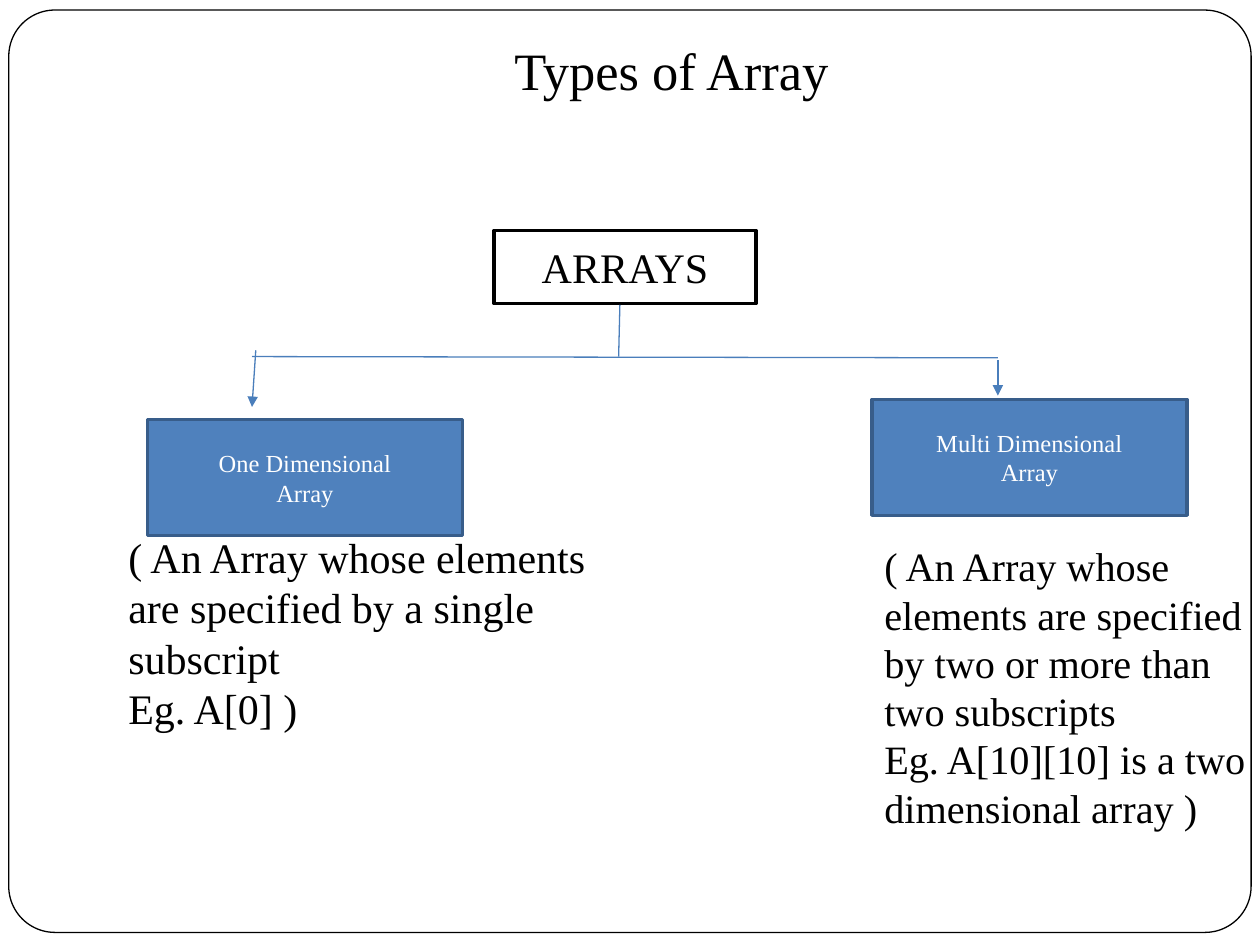
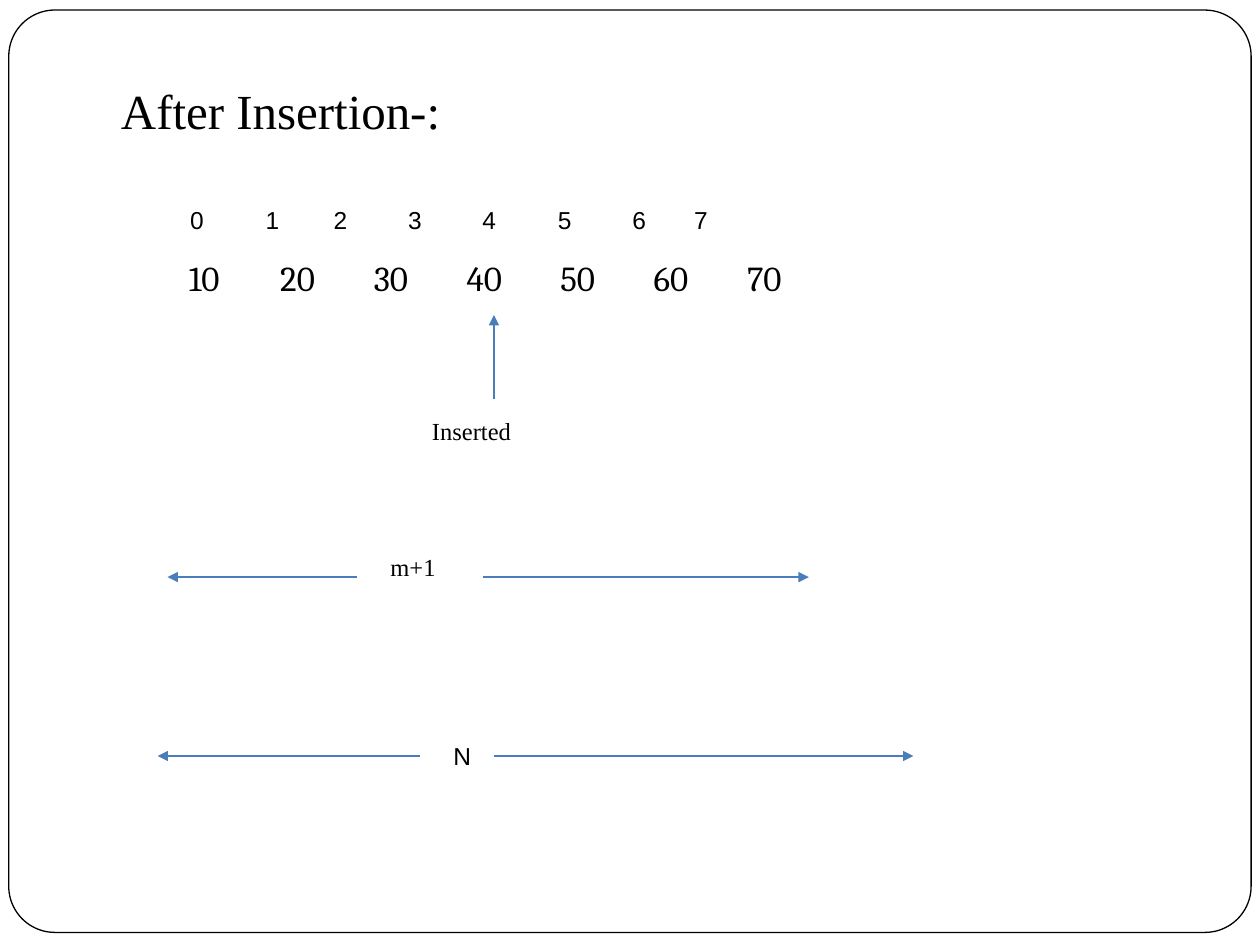
from lxml.etree import SubElement
from pptx import Presentation
from pptx.dml.color import RGBColor
from pptx.enum.shapes import MSO_CONNECTOR, MSO_SHAPE
from pptx.enum.text import MSO_ANCHOR, MSO_AUTO_SIZE, PP_ALIGN
from pptx.oxml.ns import qn
from pptx.util import Emu, Pt

EMU_PER_PX = 9144  # 100 px to the inch
COLORS = {
    "text": "000000",
    "paper": "FFFFFF",
    "box": "4F81BD",
    "box_edge": "385D8A",
    "connector": "4A7EBB",
}
SERIF = "Times New Roman"
TITLE_ONLY = 5


def px(length):
    return Emu(length * EMU_PER_PX)


def color(name):
    return RGBColor.from_string(COLORS[name])


def format_text(text_frame, size, font=SERIF, ink="text", align=PP_ALIGN.LEFT):
    for paragraph in text_frame.paragraphs:
        paragraph.alignment = align
        for run in paragraph.runs:
            run.font.name = font
            run.font.size = Pt(size)
            run.font.color.rgb = color(ink)


def add_panel(slide, kind, box, fill, edge, edge_width):
    shape = slide.shapes.add_shape(kind, *map(px, box))
    shape.shadow.inherit = False
    shape.fill.solid()
    shape.fill.fore_color.rgb = color(fill)
    shape.line.color.rgb = color(edge)
    shape.line.width = Pt(edge_width)
    return shape


def add_box(slide, text, box, size, fill, edge, ink):
    shape = add_panel(slide, MSO_SHAPE.RECTANGLE, box, fill, edge, 2)
    shape.text_frame.text = text
    shape.text_frame.vertical_anchor = MSO_ANCHOR.MIDDLE
    format_text(shape.text_frame, size, ink=ink, align=PP_ALIGN.CENTER)


def add_label(slide, text, box, size, font=SERIF):
    label = slide.shapes.add_textbox(*map(px, box))
    label.text_frame.word_wrap = True
    label.text_frame.auto_size = MSO_AUTO_SIZE.SHAPE_TO_FIT_TEXT
    label.text_frame.text = text
    format_text(label.text_frame, size, font)
    return label


def add_line(slide, start, end, arrow=False):
    line = slide.shapes.add_connector(
        MSO_CONNECTOR.STRAIGHT, *map(px, start + end))
    line.line.color.rgb = color("connector")
    line.line.width = Pt(0.75)
    properties = line.element.spPr
    if arrow:
        SubElement(properties.find(qn("a:ln")), qn("a:tailEnd"), type="triangle")
    SubElement(properties, qn("a:effectLst"))


def set_title(slide, text, box, size, align):
    title = slide.shapes.title
    title.left, title.top, title.width, title.height = map(px, box)
    title.text_frame.text = text
    title.text_frame.vertical_anchor = MSO_ANCHOR.TOP
    title.text_frame.auto_size = MSO_AUTO_SIZE.NONE
    format_text(title.text_frame, size, align=align)


def add_frame_to_layout(slide):
    """Put the rounded page frame behind everything on the slide's layout."""
    frame = add_panel(slide, MSO_SHAPE.ROUNDED_RECTANGLE, (7, 8, 986, 732),
                      "paper", "text", 0.75)
    frame.adjustments[0] = 0.05
    slide.slide_layout.shapes.element.insert(2, frame.element)


def add_value_row(slide, values, columns, box):
    table = slide.shapes.add_table(1, columns, *map(px, box)).table
    table.first_row = table.horz_banding = False
    for cell in table.iter_cells():
        cell.fill.background()
        cell.margin_top = px(7)
    for cell, value in zip(table.iter_cells(), values):
        cell.text_frame.text = value
        cell.text_frame.paragraphs[0].line_spacing = 0.96
        format_text(cell.text_frame, 20, "Cambria", align=PP_ALIGN.CENTER)


def add_index_row(slide, box, tab_stops):
    """Number the array positions, one at each tab stop."""
    text = "".join(f"\t{index}" for index in range(len(tab_stops)))
    label = add_label(slide, text, box, 14, "Arial")
    properties = label.text_frame.paragraphs[0]._p.get_or_add_pPr()
    tabs = SubElement(properties, qn("a:tabLst"))
    for stop in tab_stops:
        SubElement(tabs, qn("a:tab"), pos=str(px(stop)), algn="l")


def build_types_slide(slide):
    set_title(slide, "Types of Array", (133, 25, 800, 70), 30, PP_ALIGN.CENTER)
    add_box(slide, "ARRAYS", (392, 183, 208, 58), 24, "paper", "text", "text")
    add_line(slide, (492, 242), (491, 283))
    add_line(slide, (200, 283), (792, 284))
    add_line(slide, (203, 278), (200, 323), arrow=True)
    add_line(slide, (792, 286), (792, 314), arrow=True)
    for kind, left, top in (("One", 117, 333), ("Multi", 692, 317)):
        add_box(slide, f"{kind} Dimensional\nArray", (left, top, 250, 92),
                14, "box", "box_edge", "paper")
    add_label(slide, "( An Array whose elements are specified by a single subscript\n"
              "Eg. A[0] )", (92, 417, 400, 170), 24)
    add_label(slide, "( An Array whose elements are specified by two or more than "
              "two subscripts\nEg. A[10][10] is a two dimensional array )",
              (692, 425, 308, 322), 23)


def build_insertion_slide(slide):
    set_title(slide, "After Insertion-:", (86, 59, 867, 57), 28, PP_ALIGN.LEFT)
    add_value_row(slide, [str(value) for value in range(10, 80, 10)], 8,
                  (125, 200, 593, 44))
    add_index_row(slide, (125, 158, 575, 40),
                  (16, 76, 130, 189, 248, 308, 367, 416))
    add_line(slide, (392, 317), (392, 250), arrow=True)
    add_label(slide, "Inserted", (333, 325, 175, 40), 14)
    add_label(slide, "m+1", (300, 433, 75, 70), 14)
    add_label(slide, "N", (350, 583, 83, 40), 14, "Arial")
    for y, left_start, left_end, right_start, right_end in (
            (458, 283, 133, 383, 642), (600, 333, 125, 392, 725)):
        add_line(slide, (left_start, y), (left_end, y), arrow=True)
        add_line(slide, (right_start, y), (right_end, y), arrow=True)


def main():
    presentation = Presentation()
    presentation.slide_width, presentation.slide_height = px(1000), px(750)
    layout = presentation.slide_layouts[TITLE_ONLY]
    types_slide, insertion_slide = (
        presentation.slides.add_slide(layout) for _ in range(2))
    add_frame_to_layout(types_slide)
    build_types_slide(types_slide)
    build_insertion_slide(insertion_slide)
    presentation.save("out.pptx")


if __name__ == "__main__":
    main()
